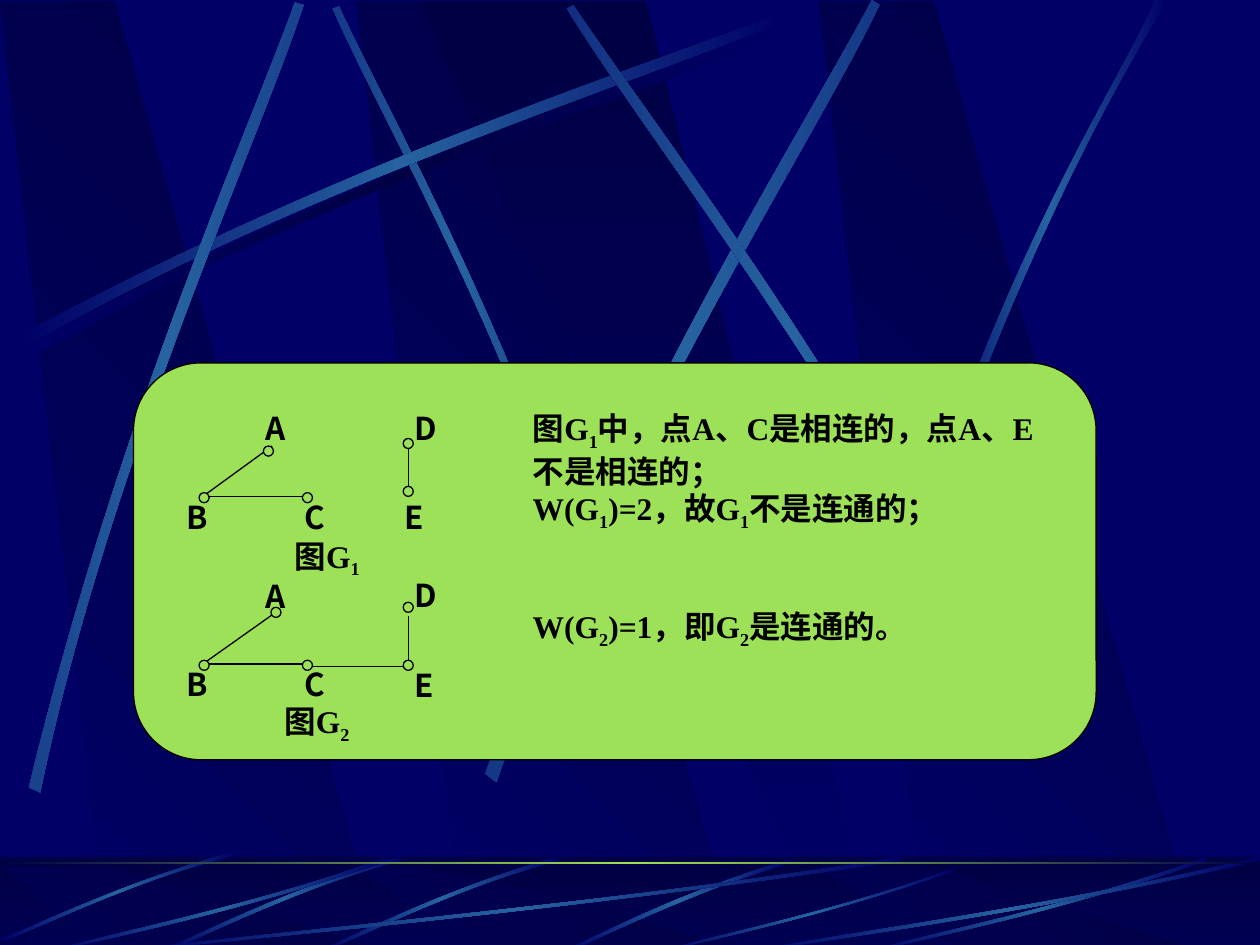
import math
from lxml import etree
from pptx import Presentation
from pptx.dml.color import RGBColor
from pptx.enum.shapes import MSO_CONNECTOR, MSO_SHAPE
from pptx.enum.text import MSO_AUTO_SIZE
from pptx.oxml import parse_xml
from pptx.oxml.ns import nsdecls, qn
from pptx.util import Pt

PX = 9144  # 100 px to the inch
NAVY = RGBColor(0x00, 0x00, 0x66)
DARK = RGBColor(0x00, 0x00, 0x44)
STEEL = RGBColor(0x26, 0x63, 0xA0)
GREEN = RGBColor(0x9C, 0xE1, 0x57)
BLACK = RGBColor(0x00, 0x00, 0x00)
RECT, ROUND, OVAL = MSO_SHAPE.RECTANGLE, MSO_SHAPE.ROUNDED_RECTANGLE, MSO_SHAPE.OVAL
STRAIGHT = MSO_CONNECTOR.STRAIGHT
FIT_SHAPE = MSO_AUTO_SIZE.SHAPE_TO_FIT_TEXT
SANS, SERIF = "Noto Sans CJK SC", "Times New Roman"
SHADE = (DARK, NAVY)
GLOW = (NAVY, STEEL, NAVY)

# Each strand: rotation, then two cubic edges of four points
SHADOW_STRAND = (0, [(20, 275), (284, 134), (524, 59), (626, 18),
                     (629, 24), (528, 69), (254, 151), (23, 285)])
TOP_STRANDS = [
    (45, [(460, 436), (391, 234), (302, 77), (269, 5),
          (264, 7), (295, 79), (398, 258), (454, 439)]),
    (0, [(14, 267), (278, 125), (518, 51), (620, 10),
         (623, 16), (522, 61), (248, 143), (17, 277)]),
    (311.7, [(23, 625), (93, 334), (197, 105), (234, 2),
             (241, 4), (207, 109), (86, 368), (32, 629)]),
    (321.6, [(385, 614), (498, 320), (638, 102), (692, 0),
             (698, 4), (649, 108), (486, 355), (394, 621)]),
    (34.8, [(806, 560), (670, 293), (516, 95), (455, 4),
            (450, 7), (507, 101), (685, 325), (799, 566)]),
    (0, [(738, 394), (814, 173), (888, 66), (917, 0),
         (927, 0), (836, 145), (769, 322), (744, 397)]),
]
FLOOR_STRANDS = [
    (0, [(627, 682), (537, 709), (477, 742), (448, 754),
         (453, 755), (490, 737), (571, 700), (628, 685)]),
    (314.9, [(442, 680), (355, 705), (287, 740), (256, 753),
             (257, 755), (288, 743), (365, 703), (444, 683)]),
    (314.9, [(317, 680), (230, 705), (162, 740), (131, 753),
             (132, 755), (163, 743), (240, 703), (319, 683)]),
    (314.9, [(185, 676), (99, 700), (32, 733), (1, 745),
             (2, 747), (33, 736), (109, 697), (187, 679)]),
    (0, [(717, 683), (449, 723), (206, 744), (103, 755),
         (100, 754), (202, 741), (480, 718), (714, 680)]),
    (0, [(308, 683), (193, 723), (88, 744), (43, 755),
         (42, 754), (86, 741), (206, 718), (307, 680)]),
    (0, [(758, 691), (658, 726), (567, 745), (528, 755),
         (527, 754), (565, 743), (669, 722), (757, 689)]),
    (0, [(958, 683), (843, 723), (738, 744), (693, 755),
         (692, 754), (736, 741), (856, 718), (957, 680)]),
    (0, [(1000, 683), (827, 723), (669, 744), (602, 755),
         (600, 754), (666, 741), (846, 718), (998, 680)]),
]

# Graph parts, relative to the corner of each graph's box
GRAPH_1 = {
    "edges": [(55, 106, 110, 66), (55, 106, 142, 106), (218, 63, 218, 103)],
    "nodes": [(103, 66), (52, 103), (134, 103), (214, 60), (214, 98)],
    "labels": [(95, 32), (32, 102), (126, 102), (213, 32), (205, 102)],
    "caption": ("图G_1", 118, 133, 189, 44),
}
GRAPH_2 = {
    "edges": [(55, 106, 110, 67), (55, 106, 142, 106),
              (142, 108, 218, 108), (218, 68, 218, 108)],
    "nodes": [(109, 61), (52, 103), (134, 103), (214, 57), (214, 103)],
    "labels": [(95, 32), (32, 102), (126, 102), (213, 31), (213, 103)],
    "caption": ("图G_2", 110, 131, 134, 44),
}
REMARKS = [
    ("图G_1中，点A、C是相连的，点A、E不是相连的；", 307, 32, 425, 74),
    ("W(G_1)=2，故G_1不是连通的；", 307, 95, 417, 44),
    ("W(G_2)=1，即G_2是连通的。", 307, 189, 386, 44),
]


def emu(*lengths):
    return [round(length * PX) for length in lengths]


def paint_gradient(shape, colours, angle):
    """Fill with evenly spaced colours; the angle stays fixed to the page."""
    shape.shadow.inherit = False
    shape.line.fill.background()
    step = 100000 // (len(colours) - 1)
    stops = "".join(f'<a:gs pos="{i * step}"><a:srgbClr val="{colour}"/></a:gs>'
                    for i, colour in enumerate(colours))
    gradient = parse_xml(
        f'<a:gradFill {nsdecls("a")} rotWithShape="0"><a:gsLst>{stops}</a:gsLst>'
        f'<a:lin ang="{angle * 60000}" scaled="0"/></a:gradFill>')
    shape._element.spPr.find(qn("a:ln")).addprevious(gradient)


def add_solid(page, kind, left, top, width, height, colour):
    shape = page.shapes.add_shape(kind, *emu(left, top, width, height))
    shape.shadow.inherit = False
    shape.fill.solid()
    shape.fill.fore_color.rgb = colour
    shape.line.color.rgb = BLACK
    shape.line.width = Pt(0.75)
    return shape


def add_outline(page, points, colours, angle):
    corners = [emu(x, y) for x, y in points]
    builder = page.shapes.build_freeform(*corners[0], scale=1.0)
    builder.add_line_segments(corners[1:], close=True)
    shape = builder.convert_to_shape()
    paint_gradient(shape, colours, angle)
    return shape


def turn(x, y, degrees):
    cosine, sine = math.cos(math.radians(degrees)), math.sin(math.radians(degrees))
    return x * cosine - y * sine, x * sine + y * cosine


def add_strand(page, rotation, controls, colours):
    level = [turn(x, y, -rotation) for x, y in controls]
    shape = add_outline(page, level, colours, 180)
    # Bend both long edges: three line ends become one cubic curve
    lines = list(shape._element.spPr.iter(qn("a:lnTo")))
    for edge in (lines[:3], lines[4:7]):
        curve = etree.Element(qn("a:cubicBezTo"))
        edge[0].addprevious(curve)
        for line in edge:
            curve.append(line[0])
            line.getparent().remove(line)
    # Turn the level shape about its own centre, back to its place
    centre = turn(shape.left + shape.width / 2, shape.top + shape.height / 2, rotation)
    shape.left = round(centre[0] - shape.width / 2)
    shape.top = round(centre[1] - shape.height / 2)
    shape.rotation = rotation


def add_beams(page, top, bottom):
    for left in (283, 0, 650):
        add_outline(page, [(left + 86, bottom), (left + 302, bottom),
                           (left + 91, top), (left, top)], SHADE, 135)
    add_outline(page, [(333, top), (658, bottom), (694, bottom), (513, top)], SHADE, 90)


def add_backdrop(page):
    page.background.fill.solid()
    page.background.fill.fore_color.rgb = NAVY
    add_beams(page, 1, 752)
    add_strand(page, *SHADOW_STRAND, (NAVY, DARK, NAVY))
    for strand in TOP_STRANDS:
        add_strand(page, *strand, GLOW)


def add_floor(page, left, top, width, height):
    ground = page.shapes.add_shape(RECT, *emu(left, top, width, height))
    paint_gradient(ground, SHADE, 90)
    add_beams(page, top + 8, top + height)
    veil = add_solid(page, RECT, left, top, width, height, DARK)
    veil.line.fill.background()
    colour = veil._element.spPr.find(qn("a:solidFill"))[0]
    etree.SubElement(colour, qn("a:alpha"), val="50000")
    for strand in FLOOR_STRANDS:
        add_strand(page, *strand, GLOW)
    horizon = page.shapes.add_shape(RECT, *emu(left, top + 4, width, 2))
    paint_gradient(horizon, (DARK, GREEN, DARK), 180)


def add_text(page, text, left, top, width, height, font=SERIF):
    """Write one paragraph; an underscore lowers the next character."""
    box = page.shapes.add_textbox(*emu(left, top, width, height))
    box.text_frame.word_wrap = True
    box.text_frame.auto_size = FIT_SHAPE
    para = box.text_frame.paragraphs[0]
    first, *others = text.split("_")
    pieces = [(first, False)]
    for part in others:
        pieces += [(part[0], True), (part[1:], False)]
    for piece, lowered in pieces:
        if not piece:
            continue
        span = para.add_run()
        span.text = piece
        span.font.size = Pt(18)
        span.font.bold = True
        span.font.name = font
        span.font.color.rgb = BLACK
        properties = span._r.get_or_add_rPr()
        etree.SubElement(properties, qn("a:ea"), typeface=SANS)
        if lowered:
            properties.set("baseline", "-25000")


def add_graph(page, left, top, graph):
    for x1, y1, x2, y2 in graph["edges"]:
        edge = page.shapes.add_connector(
            STRAIGHT, *emu(left + x1, top + y1, left + x2, top + y2))
        edge.line.color.rgb = BLACK
        edge.line.width = Pt(0.75)
        etree.SubElement(edge._element.spPr, qn("a:effectLst"))
    for x, y in graph["nodes"]:
        add_solid(page, OVAL, left + x, top + y, 8, 8, GREEN)
    for letter, (x, y) in zip("ABCDE", graph["labels"]):
        add_text(page, letter, left + x, top + y, 63, 40, SANS)
    caption, x, y, width, height = graph["caption"]
    add_text(page, caption, left + x, top + y, width, height)


def add_panel(page, left, top, width, height):
    panel = add_solid(page, ROUND, left, top, width, height, GREEN)
    panel.adjustments[0] = 0.17
    add_graph(page, left, top, GRAPH_1)
    add_graph(page, left, top + 133, GRAPH_2)
    for text, x, y, box_width, box_height in REMARKS:
        add_text(page, text, left + x, top + y, box_width, box_height)


def main():
    deck = Presentation()
    deck.slide_width, deck.slide_height = emu(1000, 750)
    page = deck.slides.add_slide(deck.slide_layouts[6])
    add_backdrop(page)
    add_floor(page, 0, 680, 1000, 75)
    add_panel(page, 106, 288, 764, 315)
    deck.save("out.pptx")


if __name__ == "__main__":
    main()
